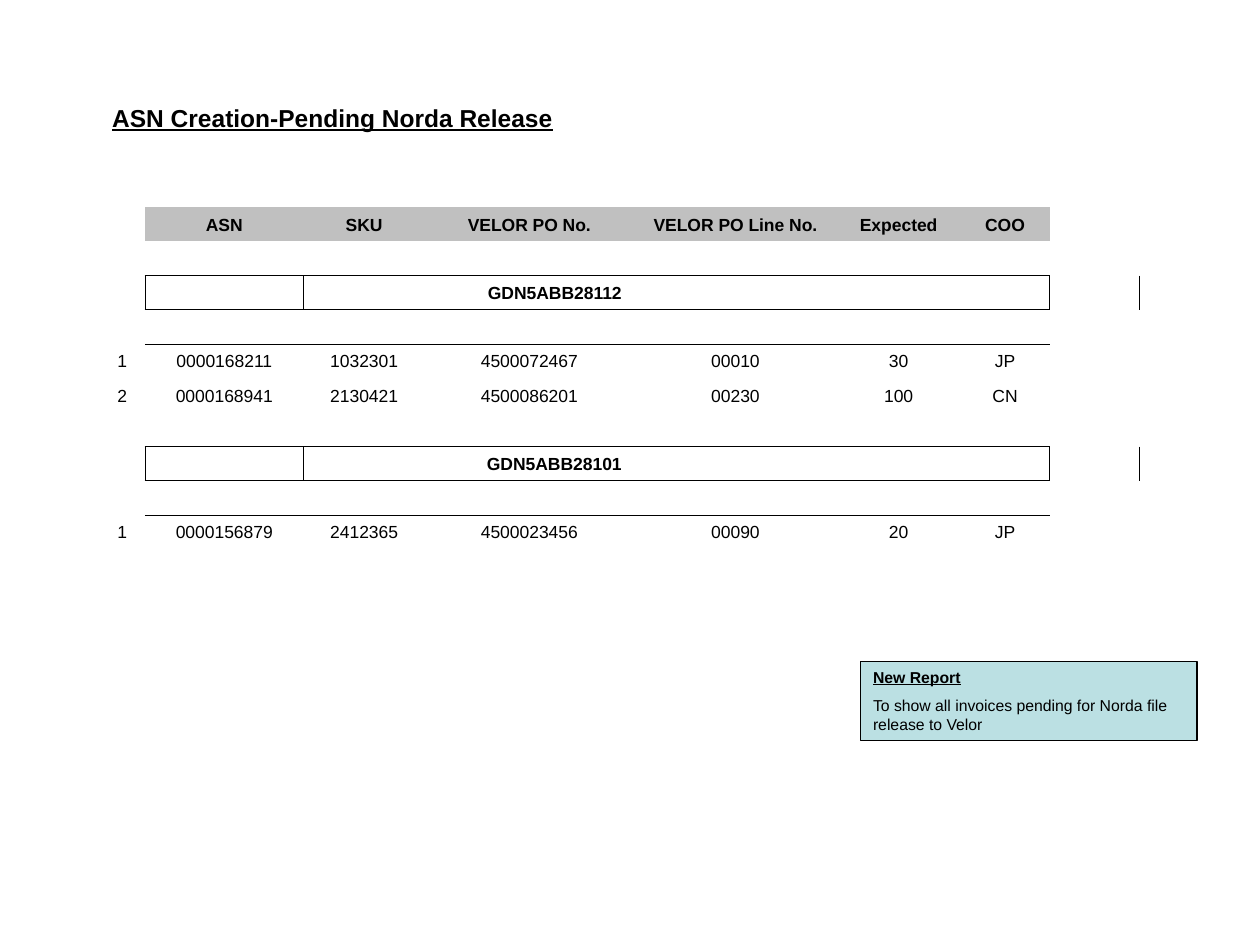
"""Builds the slide of the report on ASN creation pending release."""
from dataclasses import dataclass

from lxml.etree import SubElement
from pptx import Presentation
from pptx.dml.color import RGBColor
from pptx.enum.shapes import MSO_SHAPE
from pptx.enum.text import MSO_ANCHOR, PP_ALIGN
from pptx.oxml import parse_xml
from pptx.oxml.ns import nsdecls, qn
from pptx.util import Cm, Pt

BLACK = RGBColor(0x00, 0x00, 0x00)
WHITE = RGBColor(0xFF, 0xFF, 0xFF)
GREY = RGBColor(0xC0, 0xC0, 0xC0)
PALE_BLUE = RGBColor(0xBB, 0xE0, 0xE3)
FONT = "Arial"
BODY_SIZE = 10
PLAIN_STYLE = "{2D5ABB26-0587-4C30-8999-92F81FD0307C}"
BORDER_WIDTH = Pt(0.45)

COLUMN_WIDTHS = (0.91, 3.2, 2.44, 4.22, 4.09, 2.49, 1.8, 1.8, 1.8)
TITLE_HEIGHT, ROW_HEIGHT, ROW_COUNT = 1.45, 0.68, 23
HEADER_ROW, FIRST_GROUP_ROW = 3, 5
FIRST_COLUMN, LAST_COLUMN, GROUP_COLUMN = 1, 6, 3
HEADINGS = ("ASN", "SKU", "VELOR PO No.", "VELOR PO Line No.", "Expected", "COO")


@dataclass(frozen=True)
class Group:
    """A delivery number and the order lines under it."""
    number: str
    lines: tuple[tuple[str, ...], ...]


GROUPS = (
    Group("GDN5ABB28112", (
        ("0000168211", "1032301", "4500072467", "00010", "30", "JP"),
        ("0000168941", "2130421", "4500086201", "00230", "100", "CN"),
    )),
    Group("GDN5ABB28101", (
        ("0000156879", "2412365", "4500023456", "00090", "20", "JP"),
    )),
)


def write(para, text: str, *, size: float = BODY_SIZE, bold: bool = False,
          underline: bool = False, align=PP_ALIGN.LEFT, before: float = 0) -> None:
    """Put formatted text into a paragraph."""
    para.alignment = align
    if before:
        para.space_before = Pt(before)
    span = para.add_run()
    span.text = text
    span.font.name = FONT
    span.font.size = Pt(size)
    span.font.bold = bold
    span.font.underline = underline
    span.font.color.rgb = BLACK


def write_cell(cell, text: str, **style) -> None:
    """Write text in a table cell."""
    write(cell.text_frame.paragraphs[0], text, **style)


def border_sides(row: int, column: int, group_rows: list[int]) -> list[str]:
    """Name the sides of a cell that lie on a group frame, in schema order."""
    inside = FIRST_COLUMN <= column <= LAST_COLUMN
    framed = row in group_rows
    sides = {
        "lnL": framed and column in (FIRST_COLUMN, LAST_COLUMN + 1),
        "lnR": framed and column in (FIRST_COLUMN - 1, LAST_COLUMN),
        "lnT": inside and (framed or row - 1 in group_rows),
        "lnB": inside and (framed or row + 1 in group_rows),
    }
    return [side for side, shown in sides.items() if shown]


def style_cell(cell, fill: RGBColor, sides: list[str]) -> None:
    """Fill a cell, frame the given sides and set its resting text size."""
    cell.vertical_anchor = MSO_ANCHOR.BOTTOM
    cell.margin_left = cell.margin_right = Cm(0.25)
    cell.margin_top = cell.margin_bottom = Cm(0.13)
    cell.fill.solid()
    cell.fill.fore_color.rgb = fill
    properties = cell._tc.get_or_add_tcPr()
    for index, side in enumerate(sides):
        properties.insert(index, parse_xml(
            f'<a:{side} {nsdecls("a")} w="{BORDER_WIDTH}"><a:solidFill>'
            f'<a:srgbClr val="{BLACK}"/></a:solidFill></a:{side}>'))
    ending = SubElement(cell.text_frame.paragraphs[0]._p, qn("a:endParaRPr"))
    ending.set("sz", str(BODY_SIZE * 100))


def fill_table(table) -> list[int]:
    """Write the title, headings and groups, and return the group rows."""
    table.cell(0, 0).merge(table.cell(0, 3))
    write_cell(table.cell(0, 0), "ASN Creation-Pending Norda Release",
               size=14, bold=True, underline=True)
    for column, heading in enumerate(HEADINGS, FIRST_COLUMN):
        write_cell(table.cell(HEADER_ROW, column), heading, bold=True, align=PP_ALIGN.CENTER)
    group_rows = []
    row = FIRST_GROUP_ROW
    for group in GROUPS:
        group_rows.append(row)
        write_cell(table.cell(row, GROUP_COLUMN), group.number, bold=True, align=PP_ALIGN.RIGHT)
        for position, line in enumerate(group.lines, 1):
            for column, text in enumerate((str(position), *line)):
                write_cell(table.cell(row + 1 + position, column), text, align=PP_ALIGN.CENTER)
        row += len(group.lines) + 3
    return group_rows


def add_report(page) -> None:
    """Add the report table."""
    heights = [TITLE_HEIGHT] + [ROW_HEIGHT] * (ROW_COUNT - 1)
    frame = page.shapes.add_table(ROW_COUNT, len(COLUMN_WIDTHS), Cm(2.01), Cm(1.35),
                                  Cm(sum(COLUMN_WIDTHS)), Cm(sum(heights)))
    table = frame.table
    table.first_row = table.horz_banding = False
    table._tbl.tblPr.find(qn("a:tableStyleId")).text = PLAIN_STYLE
    for column, width in zip(table.columns, COLUMN_WIDTHS):
        column.width = Cm(width)
    for row, height in zip(table.rows, heights):
        row.height = Cm(height)
    group_rows = fill_table(table)
    for row in range(ROW_COUNT):
        for column in range(len(COLUMN_WIDTHS)):
            heading = row == HEADER_ROW and FIRST_COLUMN <= column <= LAST_COLUMN
            style_cell(table.cell(row, column), GREY if heading else WHITE,
                       border_sides(row, column, group_rows))


def add_note(page) -> None:
    """Add the box that explains the report."""
    box = page.shapes.add_shape(MSO_SHAPE.RECTANGLE, Cm(17.35), Cm(13.33), Cm(6.78), Cm(1.6))
    box.shadow.inherit = False
    box.fill.solid()
    box.fill.fore_color.rgb = PALE_BLUE
    box.line.color.rgb = BLACK
    box.line.width = Pt(0.75)
    text = box.text_frame
    text.word_wrap = True
    text.vertical_anchor = MSO_ANCHOR.TOP
    write(text.paragraphs[0], "New Report", size=9, bold=True, underline=True)
    write(text.add_paragraph(), "To show all invoices pending for Norda file release to Velor",
          size=9, before=5.6)


def main() -> None:
    """Build and save the deck."""
    deck = Presentation()
    deck.slide_width, deck.slide_height = Cm(25.4), Cm(19.05)
    page = deck.slides.add_slide(deck.slide_layouts[6])
    add_report(page)
    add_note(page)
    deck.save("out.pptx")


if __name__ == "__main__":
    main()
